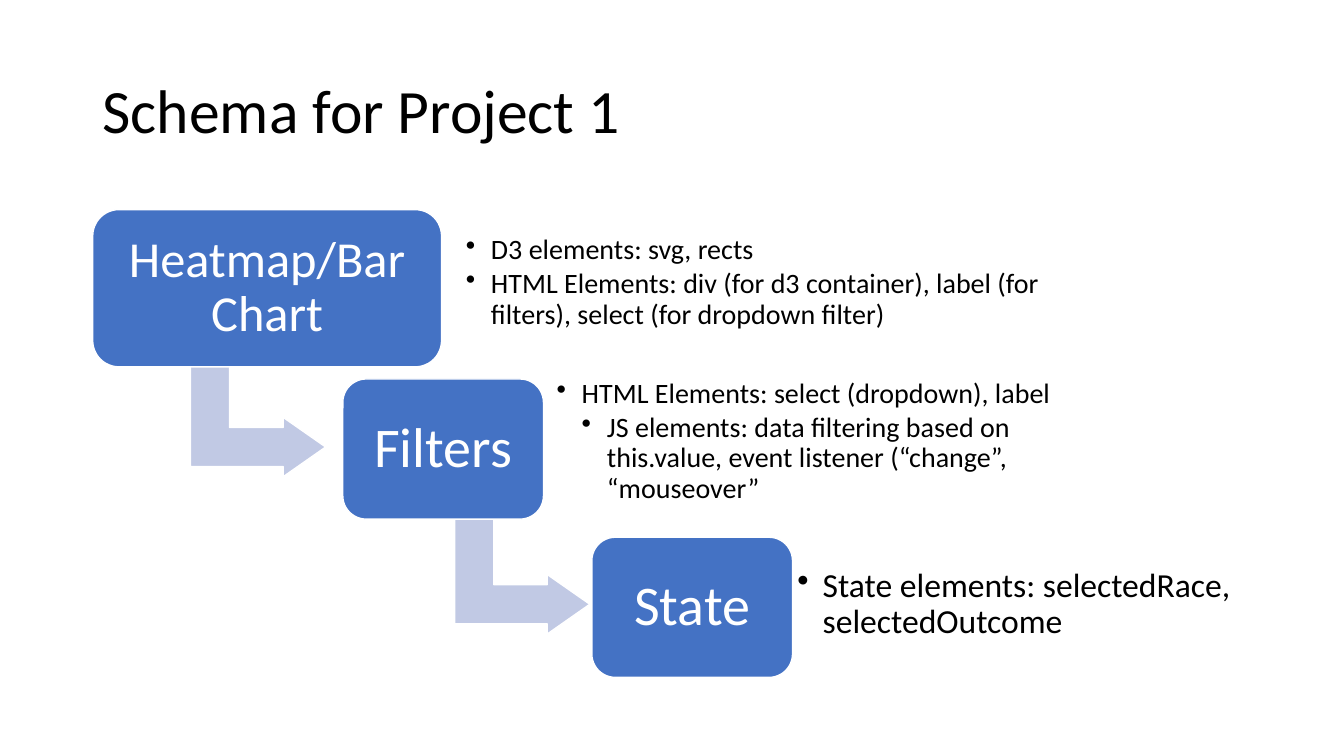
import pptx
import pptx.util
import pptx.dml.color
import pptx.enum.shapes
import pptx.enum.text
import pptx.oxml.ns
from lxml import etree

Inches, Pt = pptx.util.Inches, pptx.util.Pt
SHAPES = pptx.enum.shapes.MSO_SHAPE
ALIGN = pptx.enum.text.PP_ALIGN
MIDDLE = pptx.enum.text.MSO_ANCHOR.MIDDLE

BLUE, PALE, WHITE, BLACK = "4472C4", "C1C9E4", "FFFFFF", "000000"
INDENT = 0.25

# label, size, inset, box, arrow frame, notes frame, notes size, notes inset, notes
STEPS = [
    ("Heatmap/Bar Chart", 36, 0.15, (0.92, 2.08, 3.46, 1.56),
     (1.97, 3.47, 1.18, 1.34), (4.54, 2.22, 6.56, 1.17), 20, 0.08,
     [(1, "D3 elements: svg, rects"),
      (1, "HTML Elements: div (for d3 container), label (for filters), "
          "select (for dropdown filter)")]),
    ("Filters", 40, 0.17, (3.4, 3.76, 1.99, 1.39),
     (4.59, 5.03, 1.18, 1.34), (5.44, 3.82, 5.67, 1.12), 20, 0.08,
     [(1, "HTML Elements: select (dropdown), label"),
      (2, "JS elements: data filtering based on this.value, "
          "event listener (“change”, “mouseover”")]),
    ("State", 40, 0.17, (5.87, 5.33, 1.99, 1.39),
     None, (7.78, 5.44, 4.64, 1.12), 24, 0.13,
     [(1, "State elements: selectedRace, selectedOutcome")]),
]


def colour(value):
    return pptx.dml.color.RGBColor.from_string(value)


def prepare_frame(shape, inset=None):
    frame = shape.text_frame
    frame.word_wrap = True
    frame.vertical_anchor = MIDDLE
    if inset is not None:
        frame.margin_left = frame.margin_right = Inches(inset)
        frame.margin_top = frame.margin_bottom = Inches(inset)
    return frame


def style_paragraph(para, text, size, hue, align=ALIGN.LEFT):
    para.text = text
    para.alignment = align
    para.line_spacing = 0.9
    para.font.size = Pt(size)
    para.font.name = "Calibri"
    para.font.color.rgb = colour(hue)


def add_bullet(para, level):
    para.level = level
    props = para._p.get_or_add_pPr()
    props.set("marL", str(Inches(INDENT * level)))
    props.set("indent", str(-Inches(INDENT)))
    bullet = etree.Element(pptx.oxml.ns.qn("a:buChar"), char="•")
    props.append(bullet)


def add_block(page, kind, box, fill):
    shape = page.shapes.add_shape(kind, *map(Inches, box))
    shape.shadow.inherit = False
    shape.fill.solid()
    shape.fill.fore_color.rgb = colour(fill)
    shape.line.color.rgb = colour(WHITE)
    shape.line.width = Pt(1)
    return shape


def add_title(page, box, text):
    shape = page.shapes.add_textbox(*map(Inches, box))
    style_paragraph(prepare_frame(shape).paragraphs[0], text, 44, BLACK)


def add_arrow(page, box):
    arrow = add_block(page, SHAPES.BENT_UP_ARROW, box, PALE)
    arrow.rotation = 90
    for index, share in enumerate((0.328, 0.25, 0.358)):
        arrow.adjustments[index] = share


def add_label(page, box, text, size, inset):
    label = add_block(page, SHAPES.ROUNDED_RECTANGLE, box, BLUE)
    label.adjustments[0] = 0.167
    frame = prepare_frame(label, inset)
    style_paragraph(frame.paragraphs[0], text, size, WHITE, ALIGN.CENTER)


def add_notes(page, box, size, inset, notes):
    shape = page.shapes.add_textbox(*map(Inches, box))
    frame = prepare_frame(shape, inset)
    for index, (level, text) in enumerate(notes):
        para = frame.add_paragraph() if index else frame.paragraphs[0]
        style_paragraph(para, text, size, BLACK)
        para.space_after = Pt(0.15 * size)
        add_bullet(para, level)


def main():
    deck = pptx.Presentation()
    deck.slide_width, deck.slide_height = Inches(13.33), Inches(7.5)
    page = deck.slides.add_slide(deck.slide_layouts[6])

    add_title(page, (0.92, 0.4, 11.5, 1.45), "Schema for Project 1")

    # Descending steps, each arrow tucked behind its box
    for label, size, inset, box, arrow, area, note_size, note_inset, notes in STEPS:
        if arrow:
            add_arrow(page, arrow)
        add_label(page, box, label, size, inset)
        add_notes(page, area, note_size, note_inset, notes)

    deck.save("out.pptx")


if __name__ == "__main__":
    main()
